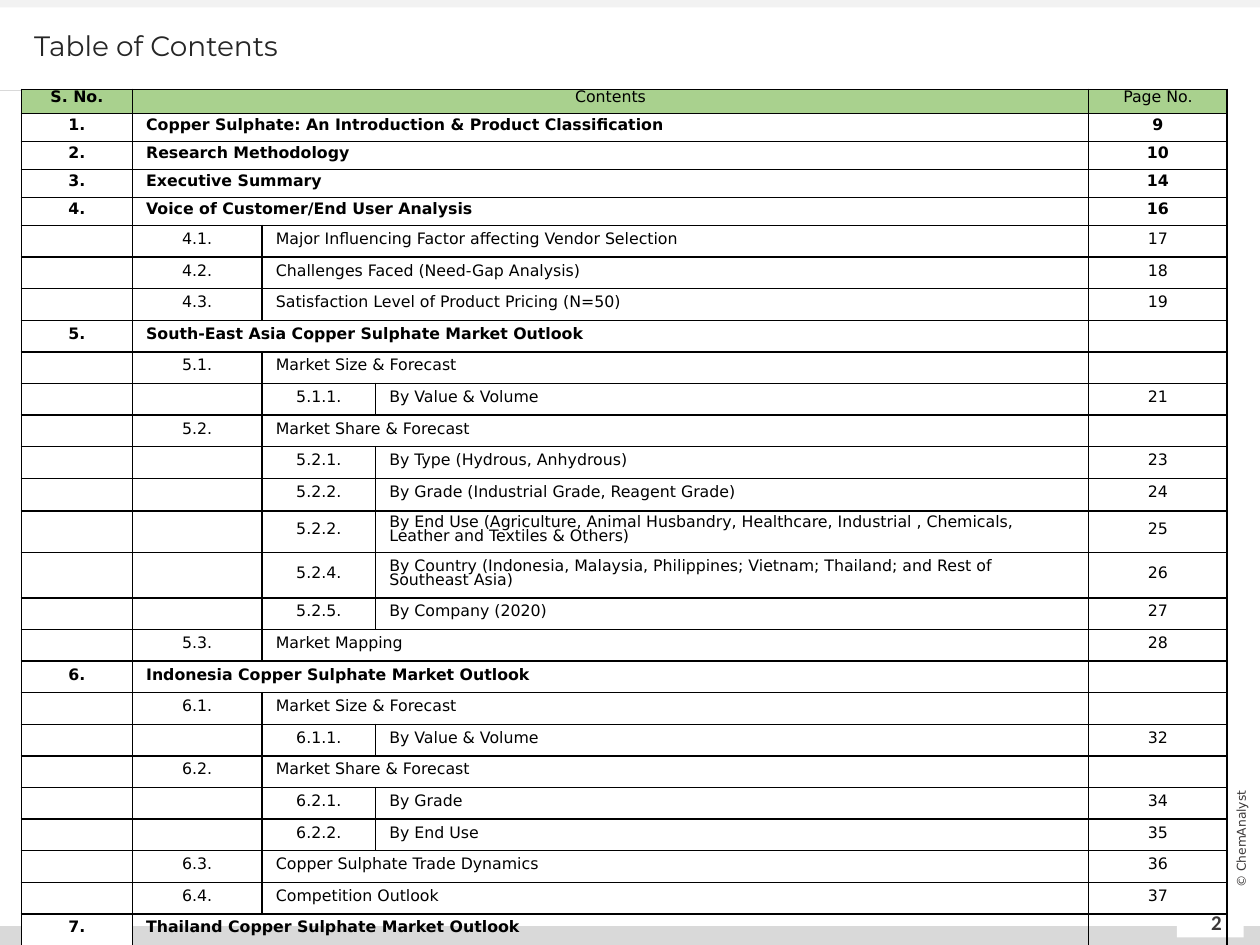
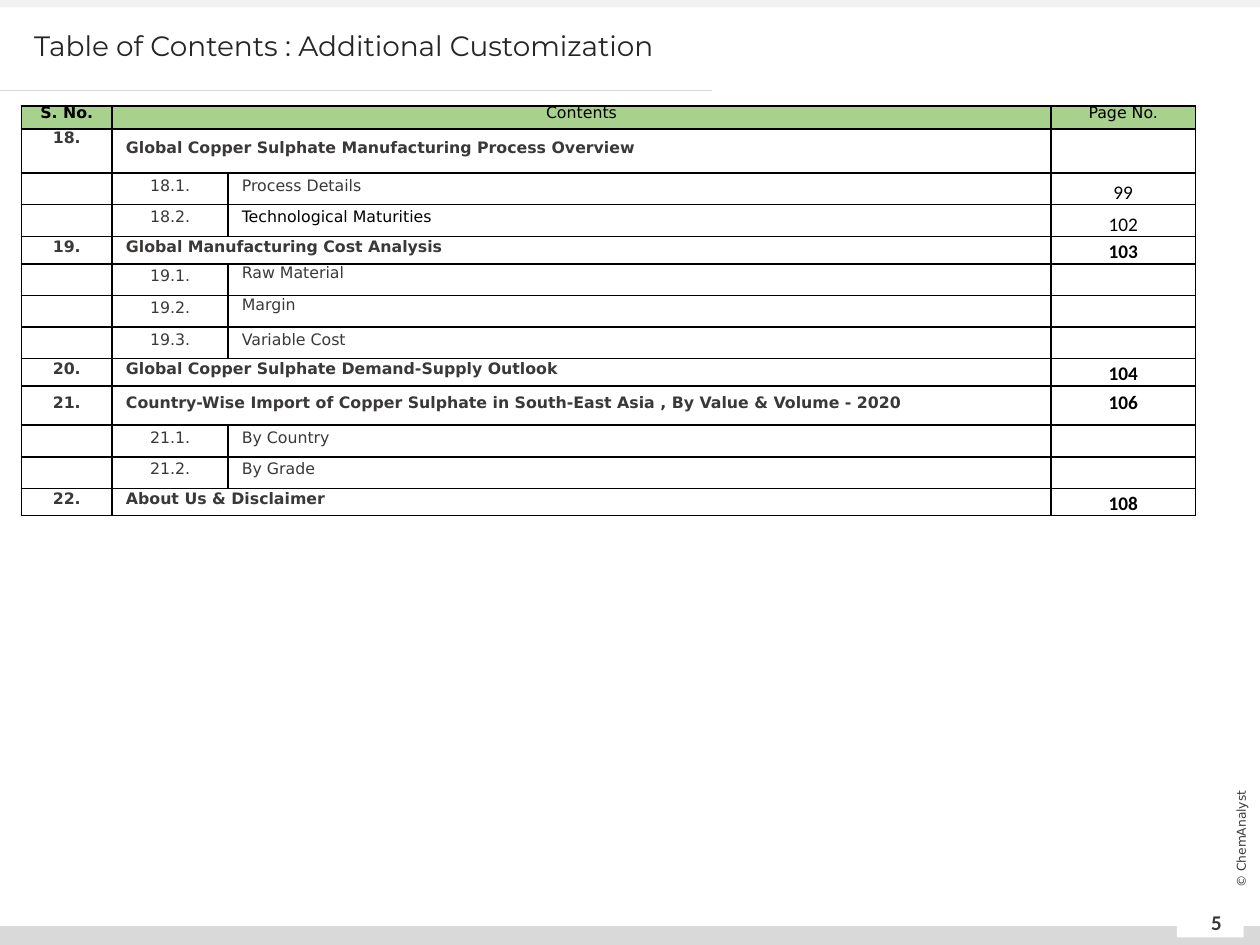
from dataclasses import dataclass

from lxml import etree
from pptx import Presentation
from pptx import util as u
from pptx.dml.color import RGBColor
from pptx.enum import shapes, text
from pptx.oxml import ns


@dataclass(frozen=True)
class Theme:
    ink: str = "000000"
    soft_ink: str = "3B3838"
    title_ink: str = "262626"
    paper: str = "FFFFFF"
    band: str = "D9D9D9"
    top_band: str = "F2F2F2"
    header_fill: str = "A9D18E"
    body_font: str = "DejaVu Sans"
    title_font: str = "Montserrat"
    number_font: str = "Calibri"
    title_size: int = 16
    folio_size: int = 12
    page_size: int = 11
    body_size: int = 9
    credit_size: int = 7
    border_width: int = 1


THEME = Theme()
HEADINGS = ("S. No.", "Contents", "Page No.")
CREDIT = "© ChemAnalyst"
MIDDLE, TOP, BOTTOM = text.MSO_ANCHOR.MIDDLE, text.MSO_ANCHOR.TOP, text.MSO_ANCHOR.BOTTOM
CENTER, LEFT = text.PP_ALIGN.CENTER, text.PP_ALIGN.LEFT

EVEN_INSETS = (0.11, 0.05, 0.11, 0.05)
RAISED_INSETS = (0.11, 0, 0.11, 0.05)
TIGHT_INSETS = (0.01, 0.01, 0.01, 0)

MARKET_CONTENTS = {
    "title": "Table of Contents",
    "folio": "2",
    "left": 0.17,
    "top": 0.71,
    "columns": (0.88, 1.03, 0.9, 5.66, 1.1),
    "row_bands": ((0.9, 1), (1.79, 4), (3.78, 8), (4.04, 1), (4.37, 1), (4.73, 1), (7.44, 11)),
    "entry": {"insets": EVEN_INSETS, "leading": 8},
    "page": {},
    "exceptions": {},
    "entries": [
        ("1.", "Copper Sulphate: An Introduction & Product Classification", "9"),
        ("2.", "Research Methodology", "10"),
        ("3.", "Executive Summary", "14"),
        ("4.", "Voice of Customer/End User Analysis", "16"),
        ("4.1.", "Major Influencing Factor affecting Vendor Selection", "17"),
        ("4.2.", "Challenges Faced (Need-Gap Analysis)", "18"),
        ("4.3.", "Satisfaction Level of Product Pricing (N=50)", "19"),
        ("5.", "South-East Asia Copper Sulphate Market Outlook", ""),
        ("5.1.", "Market Size & Forecast", ""),
        ("5.1.1.", "By Value & Volume", "21"),
        ("5.2.", "Market Share & Forecast", ""),
        ("5.2.1.", "By Type (Hydrous, Anhydrous)", "23"),
        ("5.2.2.", "By Grade (Industrial Grade, Reagent Grade)", "24"),
        ("5.2.2.", "By End Use (Agriculture, Animal Husbandry, Healthcare, Industrial , "
                   "Chemicals, Leather and Textiles & Others)", "25"),
        ("5.2.4.", "By Country (Indonesia, Malaysia, Philippines; Vietnam; Thailand; "
                   "and Rest of Southeast Asia)", "26"),
        ("5.2.5.", "By Company (2020)", "27"),
        ("5.3.", "Market Mapping", "28"),
        ("6.", "Indonesia Copper Sulphate Market Outlook", ""),
        ("6.1.", "Market Size & Forecast", ""),
        ("6.1.1.", "By Value & Volume", "32"),
        ("6.2.", "Market Share & Forecast", ""),
        ("6.2.1.", "By Grade", "34"),
        ("6.2.2.", "By End Use", "35"),
        ("6.3.", "Copper Sulphate Trade Dynamics", "36"),
        ("6.4.", "Competition Outlook", "37"),
        ("7.", "Thailand Copper Sulphate Market Outlook", ""),
    ],
}

CUSTOM_CONTENTS = {
    "title": "Table of Contents : Additional Customization",
    "folio": "5",
    "left": 0.17,
    "top": 0.84,
    "columns": (0.72, 0.92, 6.53, 1.15),
    "row_bands": ((1.02, 1), (1.37, 1), (2.9, 7), (3.21, 1), (3.86, 3)),
    "entry": {"insets": RAISED_INSETS, "color": THEME.soft_ink},
    "page": {"insets": TIGHT_INSETS, "anchor": BOTTOM, "color": THEME.ink,
             "font": THEME.number_font, "size": THEME.page_size},
    "exceptions": {
        "18.": {"anchor": TOP},
        "Technological Maturities": {"color": THEME.ink},
        "Raw Material": {"anchor": TOP},
        "Margin": {"anchor": TOP},
        "106": {"insets": RAISED_INSETS, "anchor": MIDDLE},
    },
    "entries": [
        ("18.", "Global Copper Sulphate Manufacturing Process Overview", ""),
        ("18.1.", "Process Details", "99"),
        ("18.2.", "Technological Maturities", "102"),
        ("19.", "Global Manufacturing Cost Analysis", "103"),
        ("19.1.", "Raw Material", ""),
        ("19.2.", "Margin", ""),
        ("19.3.", "Variable Cost", ""),
        ("20.", "Global Copper Sulphate Demand-Supply Outlook", "104"),
        ("21.", "Country-Wise Import of Copper Sulphate in South-East Asia , "
                "By Value & Volume - 2020", "106"),
        ("21.1.", "By Country", ""),
        ("21.2.", "By Grade", ""),
        ("22.", "About Us & Disclaimer", "108"),
    ],
}


def box(left, top, width, height):
    return [u.Inches(length) for length in (left, top, width, height)]


def style_font(paragraph, font, size, color, bold=False):
    paragraph.font.name = font
    paragraph.font.size = u.Pt(size)
    paragraph.font.bold = bold
    paragraph.font.color.rgb = RGBColor.from_string(color)


def set_insets(target, insets):
    target.margin_left, target.margin_top, target.margin_right, target.margin_bottom = box(*insets)


def add_band(slide, place, color):
    band = slide.shapes.add_shape(shapes.MSO_SHAPE.RECTANGLE, *box(*place))
    band.shadow.inherit = False
    band.fill.solid()
    band.fill.fore_color.rgb = RGBColor.from_string(color)
    band.line.fill.background()


def add_label(slide, place, words, font, size, bold=False, rotation=0):
    label = slide.shapes.add_textbox(*box(*place))
    label.rotation = rotation
    frame = label.text_frame
    set_insets(frame, (0, 0, 0, 0))
    frame.word_wrap = True
    frame.vertical_anchor = MIDDLE
    paragraph = frame.paragraphs[0]
    paragraph.text = words
    paragraph.alignment = CENTER
    style_font(paragraph, font, size, THEME.soft_ink, bold)


def add_page_frame(slide, title, folio):
    add_band(slide, (0, 7.35, 10, 0.15), THEME.band)
    add_band(slide, (0, 0, 10, 0.06), THEME.top_band)
    add_band(slide, (9.34, 7.22, 0.53, 0.22), THEME.paper)

    rule = slide.shapes.add_connector(
        shapes.MSO_CONNECTOR.STRAIGHT, *box(0, 0.72, 5.65, 0.72))
    rule.line.color.rgb = RGBColor.from_string(THEME.band)
    rule.line.width = u.Pt(0.5)
    etree.SubElement(rule._element.spPr, ns.qn("a:effectLst"))

    add_label(slide, (9.41, 7.12, 0.49, 0.4), folio, THEME.number_font, THEME.folio_size, bold=True)
    add_label(slide, (9.25, 6.58, 1.2, 0.16), CREDIT, THEME.body_font, THEME.credit_size,
              rotation=270)

    heading = slide.shapes.title
    heading.left, heading.top, heading.width, heading.height = box(0.17, 0.21, 8.6, 0.5)
    frame = heading.text_frame
    frame.text = title
    frame.auto_size = text.MSO_AUTO_SIZE.NONE
    frame.vertical_anchor = TOP
    set_insets(frame, (0.1, 0.05, 0.1, 0.05))
    paragraph = frame.paragraphs[0]
    paragraph.alignment = LEFT
    paragraph.line_spacing = 0.9
    paragraph.space_before = u.Pt(0)
    style_font(paragraph, THEME.title_font, THEME.title_size, THEME.title_ink)


def draw_borders(cell):
    properties = cell._tc.get_or_add_tcPr()
    sides = ("lnT", "lnB") if cell.is_spanned else ("lnL", "lnR", "lnT", "lnB")
    for side in sides:
        edge = etree.SubElement(properties, ns.qn(f"a:{side}"), w=str(u.Pt(THEME.border_width)))
        paint = etree.SubElement(edge, ns.qn("a:solidFill"))
        etree.SubElement(paint, ns.qn("a:srgbClr"), val=THEME.ink)


def paint_cell(cell, fill):
    draw_borders(cell)
    if fill:
        cell.fill.solid()
        cell.fill.fore_color.rgb = RGBColor.from_string(fill)
    else:
        cell.fill.background()


def write_cell(cell, words, alignment=CENTER, bold=False, insets=EVEN_INSETS, anchor=MIDDLE,
               leading=None, color=THEME.ink, font=THEME.body_font, size=THEME.body_size):
    set_insets(cell, insets)
    cell.vertical_anchor = anchor
    paragraph = cell.text_frame.paragraphs[0]
    if words:
        paragraph.text = words
    paragraph.alignment = alignment
    if leading:
        paragraph.line_spacing = u.Pt(leading)
    style_font(paragraph, font, size, color, bold)


def place_row(table, row, level, words, styles):
    page_column = len(table.columns) - 1
    if level + 1 < page_column - 1:
        table.cell(row, level + 1).merge(table.cell(row, page_column - 1))
    filled = dict(zip((level, level + 1, page_column), zip(words, styles)))
    for column in range(page_column + 1):
        cell = table.cell(row, column)
        if row == 0:
            paint_cell(cell, THEME.header_fill)
        else:
            paint_cell(cell, THEME.paper if column == 0 else None)
        entry, style = filled.get(column, ("", {}))
        if entry:
            write_cell(cell, entry, **style)
        else:
            write_cell(cell, "", leading=8)


def add_contents_table(slide, contents):
    entries, columns = contents["entries"], contents["columns"]
    top, bands = contents["top"], contents["row_bands"]
    table = slide.shapes.add_table(
        len(entries) + 1, len(columns),
        *box(contents["left"], top, sum(columns), bands[-1][0] - top)).table
    table.first_row = table.horz_banding = False
    for column, width in zip(table.columns, columns):
        column.width = u.Inches(width)

    heights = []
    for bottom, count in bands:
        heights += [(bottom - top) / count] * count
        top = bottom
    for row, height in zip(table.rows, heights):
        row.height = u.Inches(height)

    header = {"leading": 6}
    place_row(table, 0, 0, HEADINGS, ({**header, "bold": True}, header, header))

    for row, words in enumerate(entries, start=1):
        level = words[0].count(".") - 1
        base = {**contents["entry"], "bold": level == 0}
        roles = ({}, {"alignment": LEFT}, contents["page"])
        styles = [{**base, **role, **contents["exceptions"].get(word, {})}
                  for word, role in zip(words, roles)]
        place_row(table, row, level, words, styles)


def main():
    deck = Presentation()
    deck.slide_width, deck.slide_height = u.Inches(10), u.Inches(7.5)
    for contents in (MARKET_CONTENTS, CUSTOM_CONTENTS):
        slide = deck.slides.add_slide(deck.slide_layouts[5])
        add_page_frame(slide, contents["title"], contents["folio"])
        add_contents_table(slide, contents)
    deck.save("out.pptx")


if __name__ == "__main__":
    main()
